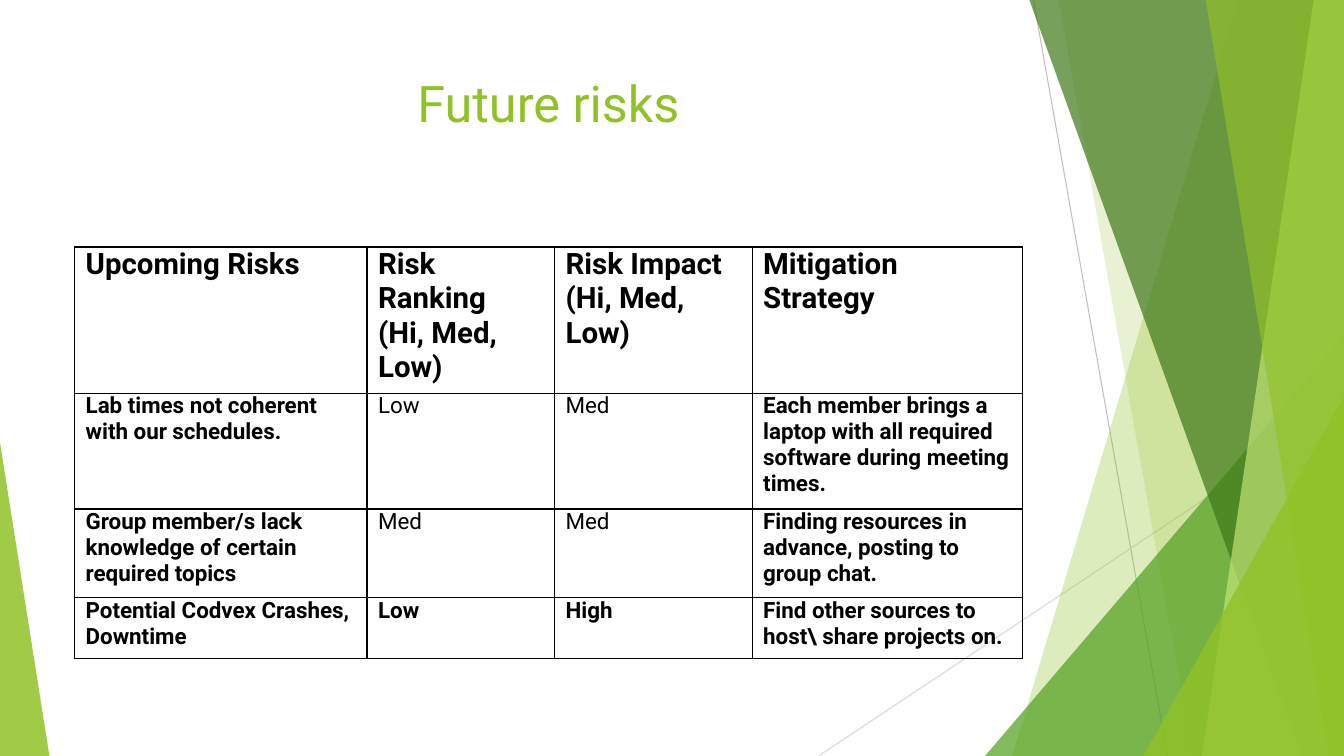
"""Build the "Future risks" slide: a risk table beside overlapping green facets."""
import pptx
import pptx.dml.color
import pptx.enum.shapes
import pptx.enum.text
import pptx.oxml
import pptx.oxml.ns
import pptx.util
from pptx.util import Inches

WIDTH, HEIGHT = 13.33, 7.5
FONT = "Roboto"
TITLE = "Future risks"
HEADER = ["Upcoming Risks", "Risk Ranking\n(Hi, Med, Low)", "Risk Impact\n(Hi, Med, Low)", "Mitigation Strategy"]
RISKS = [
    ["Lab times not coherent with our schedules.", "Low", "Med",
     "Each member brings a laptop with all required software during meeting times."],
    ["Group member/s lack knowledge of certain required topics", "Med", "Med",
     "Finding resources in advance, posting to group chat."],
    ["Potential Codvex Crashes, Downtime", "Low", "High",
     "Find other sources to host\\ share projects on."],
]
REGULAR_CELLS = {(1, 1), (1, 2), (2, 1), (2, 2)}
COLUMN_WIDTHS = [2.9, 1.86, 1.96, 2.68]
ROW_HEIGHTS = [1.45, 1.15, 0.88, 0.6]

THIN_LINES = [((10.25, 0), (11.58, HEIGHT), "BFBFBF"), ((WIDTH, 4.03), (8.12, HEIGHT), "D9D9D9")]
# kind, geometry, colour, opacity: bands give top and bottom x, triangles give left, top, width, apex
FACETS = [
    ("band", (12.28, 10.04), "90C226", 30),
    ("band", (10.5, 11.83), "90C226", 20),
    ("triangle", (9.77, 3.33, 3.56, 1), "54A021", 72),
    ("band", (10.21, 12.91), "3F7819", 70),
    ("band", (13.03, 11.92), "C0E474", 70),
    ("band", (11.96, 13.18), "90C226", 65),
    ("triangle", (11.34, 3.93, 1.99, 1), "90C226", 80),
    ("triangle", (0, 4.39, 0.49, 0), "90C226", 85),
]


def color(value):
    return pptx.dml.color.RGBColor.from_string(value)


def add_element(parent, tag, **attributes):
    element = pptx.oxml.parse_xml(f"<a:{tag} {pptx.oxml.ns.nsdecls('a')}/>")
    for name, value in attributes.items():
        element.set(name, str(value))
    parent.append(element)
    return element


def write_text(frame, text, size, value="000000", bold=False, align=None):
    frame.word_wrap = True
    frame.text = text
    for paragraph in frame.paragraphs:
        paragraph.alignment = align
        font = paragraph.runs[0].font
        font.name, font.size, font.bold = FONT, pptx.util.Pt(size), bold
        font.color.rgb = color(value)


def add_thin_line(slide, start, end, value):
    line = slide.shapes.add_connector(
        pptx.enum.shapes.MSO_CONNECTOR.STRAIGHT, *map(Inches, start + end))
    line.line.color.rgb = color(value)
    line.line.width = pptx.util.Pt(0.75)
    add_element(line._element.spPr, "effectLst")


def add_facet(slide, kind, geometry, value, opacity):
    if kind == "band":
        top, bottom = geometry
        corners = [(top, 0), (WIDTH, 0), (WIDTH, HEIGHT), (bottom, HEIGHT)]
        points = [(Inches(x), Inches(y)) for x, y in corners]
        builder = slide.shapes.build_freeform(*points[0])
        builder.add_line_segments(points[1:], close=True)
        shape = builder.convert_to_shape()
    else:
        left, top, width, apex = geometry
        shape = slide.shapes.add_shape(
            pptx.enum.shapes.MSO_SHAPE.ISOSCELES_TRIANGLE,
            Inches(left), Inches(top), Inches(width), Inches(HEIGHT - top))
        shape.adjustments[0] = apex
    shape.shadow.inherit = False
    shape.line.fill.background()
    shape.fill.solid()
    shape.fill.fore_color.rgb = color(value)
    fill_color = shape._element.spPr.find(".//" + pptx.oxml.ns.qn("a:srgbClr"))
    add_element(fill_color, "alpha", val=opacity * 1000)


def format_cell(cell):
    cell.margin_left = cell.margin_right = Inches(0.11)
    cell.margin_top = cell.margin_bottom = 0
    properties = cell._tc.get_or_add_tcPr()
    for side in ("lnL", "lnR", "lnT", "lnB"):
        border = add_element(properties, side, w=pptx.util.Pt(1))
        add_element(add_element(border, "solidFill"), "srgbClr", val="000000")
    cell.fill.background()


def add_risk_table(slide):
    rows = [HEADER] + RISKS
    table = slide.shapes.add_table(
        len(rows), len(HEADER), Inches(0.74), Inches(2.45),
        Inches(sum(COLUMN_WIDTHS)), Inches(sum(ROW_HEIGHTS))).table
    table.first_row = table.horz_banding = False
    for column, width in zip(table.columns, COLUMN_WIDTHS):
        column.width = Inches(width)
    for row_index, (texts, height) in enumerate(zip(rows, ROW_HEIGHTS)):
        table.rows[row_index].height = Inches(height)
        for column_index, text in enumerate(texts):
            cell = table.cell(row_index, column_index)
            write_text(cell.text_frame, text, 16 if row_index else 21,
                       bold=(row_index, column_index) not in REGULAR_CELLS)
            format_cell(cell)


presentation = pptx.Presentation()
presentation.slide_width, presentation.slide_height = Inches(WIDTH), Inches(HEIGHT)
slide = presentation.slides.add_slide(presentation.slide_layouts[6])
for thin_line in THIN_LINES:
    add_thin_line(slide, *thin_line)
for facet in FACETS:
    add_facet(slide, *facet)
title = slide.shapes.add_textbox(Inches(0.74), Inches(0.67), Inches(9.4), Inches(1.44))
write_text(title.text_frame, TITLE, 36, "90C226", align=pptx.enum.text.PP_ALIGN.CENTER)
add_risk_table(slide)
presentation.save("out.pptx")
